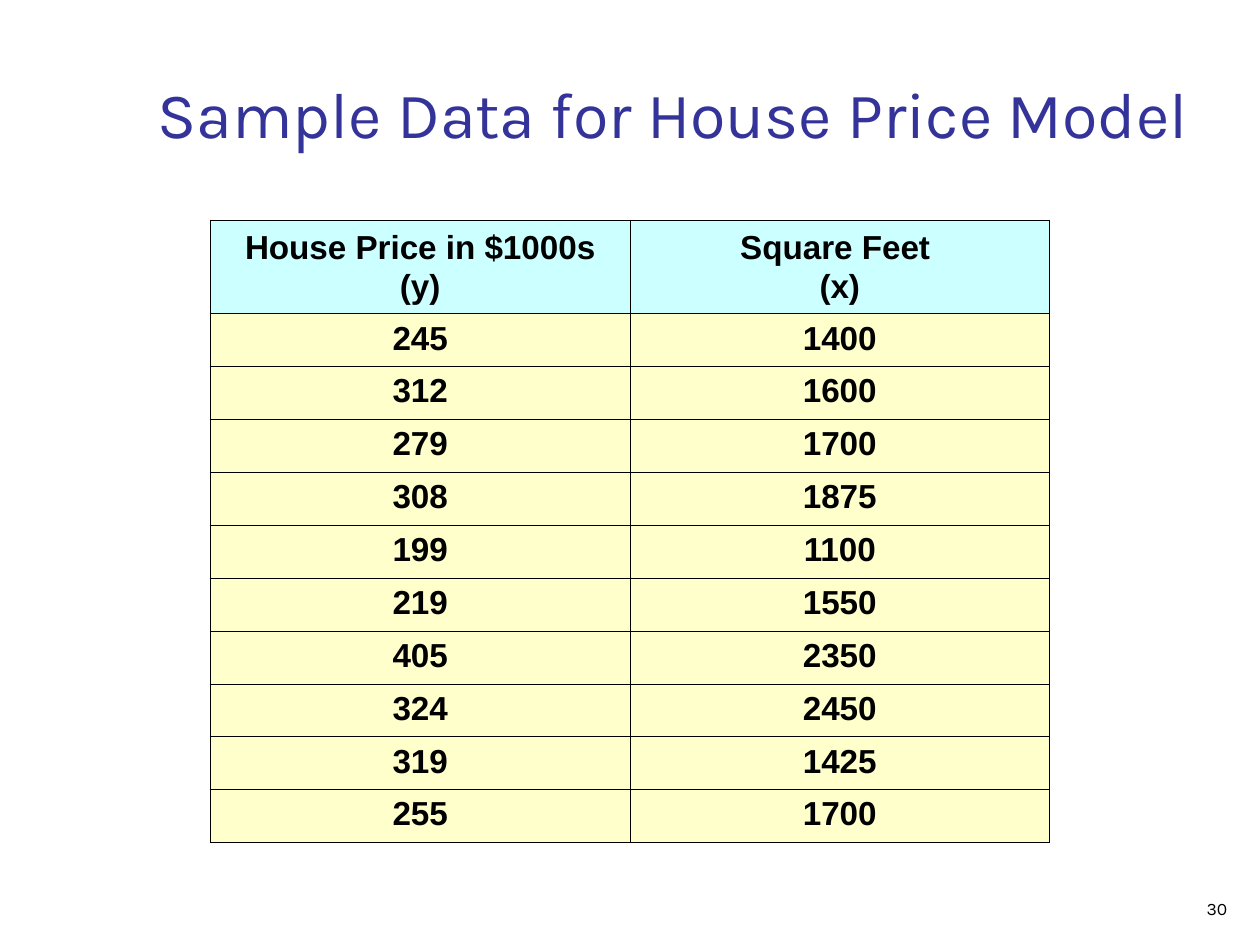
"""Build the sample data slide for the house price model."""
from lxml.etree import SubElement
from pptx import Presentation
from pptx.dml.color import RGBColor
from pptx.enum.text import MSO_ANCHOR, MSO_AUTO_SIZE, PP_ALIGN
from pptx.oxml.ns import qn
from pptx.util import Inches, Pt

THEME = {
    "title": {"name": "Karla", "size": Pt(37), "bold": False, "color": "333399"},
    "table": {"name": "Arial", "size": Pt(19), "bold": True, "color": "000000"},
    "number": {"name": "Karla", "size": Pt(10), "bold": False, "color": "000000"},
    "header_fill": "CCFFFF",
    "body_fill": "FFFFCC",
    "border": "000000",
    "outer_line": Pt(1.08),
    "inner_line": Pt(0.45),
}

HEADERS = ["House Price in $1000s\n(y)", "Square Feet \n(x)"]
HOUSES = [
    (245, 1400), (312, 1600), (279, 1700), (308, 1875), (199, 1100),
    (219, 1550), (405, 2350), (324, 2450), (319, 1425), (255, 1700),
]


def write_text(text_frame, text, style, alignment):
    text_frame.text = text
    for paragraph in text_frame.paragraphs:
        paragraph.alignment = alignment
        for run in paragraph.runs:
            for attribute in ("name", "size", "bold"):
                setattr(run.font, attribute, THEME[style][attribute])
            run.font.color.rgb = RGBColor.from_string(THEME[style]["color"])


def add_border(cell, side, width):
    properties = cell._tc.get_or_add_tcPr()
    line = SubElement(properties, qn(f"a:ln{side}"), w=str(int(width)))
    fill = SubElement(line, qn("a:solidFill"))
    SubElement(fill, qn("a:srgbClr"), val=THEME["border"])


presentation = Presentation()
presentation.slide_width = Inches(10)
presentation.slide_height = Inches(7.5)
slide = presentation.slides.add_slide(presentation.slide_layouts[5])

title = slide.shapes.title
number = slide.shapes.add_textbox(Inches(7.75), Inches(7), Inches(2.08), Inches(0.34))
title_place = {"left": 1.08, "top": 0.42, "width": 8.52, "height": 0.83}
for attribute, value in title_place.items():
    setattr(title, attribute, Inches(value))

frame_format = {
    "word_wrap": True,
    "auto_size": MSO_AUTO_SIZE.NONE,
    "vertical_anchor": MSO_ANCHOR.BOTTOM,
    "margin_left": Inches(0.09),
    "margin_right": Inches(0.09),
    "margin_top": Inches(0.05),
    "margin_bottom": Inches(0.05),
}
for shape in (title, number):
    for attribute, value in frame_format.items():
        setattr(shape.text_frame, attribute, value)
write_text(title.text_frame, "Sample Data for House Price Model", "title", PP_ALIGN.CENTER)
write_text(number.text_frame, "30", "number", PP_ALIGN.RIGHT)

rows = [HEADERS, *HOUSES]
last_row, last_column = len(rows) - 1, len(HEADERS) - 1
table = slide.shapes.add_table(
    len(rows), len(HEADERS), Inches(1.67), Inches(1.75), Inches(6.67), Inches(4.94)
).table
table.first_row = False
table.horz_banding = False
for column in table.columns:
    column.width = Inches(3.33)

for row_index, values in enumerate(rows):
    is_header = row_index == 0
    table.rows[row_index].height = Inches(0.74 if is_header else 0.42)
    for column_index, value in enumerate(values):
        cell = table.cell(row_index, column_index)
        write_text(cell.text_frame, str(value), "table", PP_ALIGN.CENTER)
        for paragraph in cell.text_frame.paragraphs[1:]:
            paragraph.line_spacing = 0.8
            paragraph.space_before = Pt(4.8)
        cell.vertical_anchor = MSO_ANCHOR.MIDDLE if is_header else MSO_ANCHOR.TOP
        outer_sides = {
            "L": column_index == 0,
            "R": column_index == last_column,
            "T": is_header,
            "B": row_index == last_row,
        }
        for side, is_outer in outer_sides.items():
            add_border(cell, side, THEME["outer_line" if is_outer else "inner_line"])
        cell.fill.solid()
        fill_name = "header_fill" if is_header else "body_fill"
        cell.fill.fore_color.rgb = RGBColor.from_string(THEME[fill_name])

presentation.save("out.pptx")
